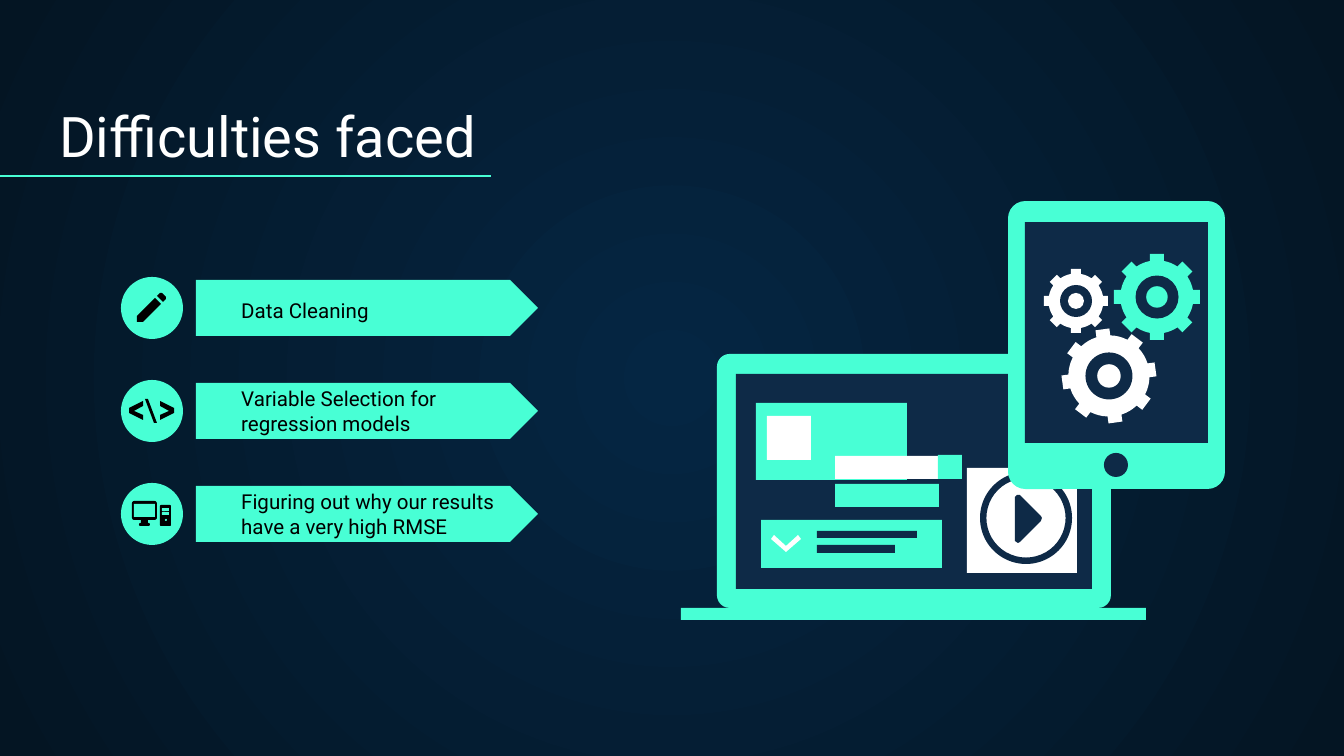
from math import cos, hypot, pi, sin
from pptx import Presentation
from pptx import util as u
from pptx.dml import color
from pptx.enum import shapes, text
from pptx.oxml import parse_xml
from pptx.oxml import ns

SCALE = 914400 / 134.4
MINT, NAVY, WHITE, BLACK = "48FFD5", "0E2A47", "FFFFFF", "000000"
RECT, OVAL = shapes.MSO_SHAPE.RECTANGLE, shapes.MSO_SHAPE.OVAL
ROUNDED = shapes.MSO_SHAPE.ROUNDED_RECTANGLE


def px(n):
    """Turn pixels into EMU."""
    return u.Emu(round(n * SCALE))


def rgb(value):
    """Return the colour for a hex string."""
    return color.RGBColor.from_string(value)


def paint(sp, fill):
    """Give a shape a plain fill without line or shadow."""
    sp.shadow.inherit = False
    sp.fill.solid()
    sp.fill.fore_color.rgb = rgb(fill)
    sp.line.fill.background()
    return sp


def add_box(s, x, y, w, h, fill, kind=RECT, adj=None):
    """Add a preset shape."""
    sp = paint(s.shapes.add_shape(kind, px(x), px(y), px(w), px(h)), fill)
    if adj is not None:
        sp.adjustments[0] = adj
    return sp


def add_disc(s, cx, cy, radius, fill):
    """Add a circle around a centre."""
    return add_box(s, cx - radius, cy - radius, 2 * radius, 2 * radius, fill, OVAL)


def add_outline(s, fill, *contours):
    """Add one filled freeform made of closed contours."""
    builder = None
    for contour in contours:
        points = [(px(x), px(y)) for x, y in contour]
        if builder is None:
            builder = s.shapes.build_freeform(*points[0])
        else:
            builder.move_to(*points[0])
        builder.add_line_segments(points[1:], close=True)
    return paint(builder.convert_to_shape(), fill)


def add_text(s, x, y, w, h, value, size=11, fill=BLACK, font="Roboto"):
    """Add a bottom-anchored text box."""
    tf = s.shapes.add_textbox(px(x), px(y), px(w), px(h)).text_frame
    tf.word_wrap = True
    tf.vertical_anchor = text.MSO_ANCHOR.BOTTOM
    tf.margin_left = tf.margin_right = tf.margin_top = tf.margin_bottom = u.Inches(0.1)
    r = tf.paragraphs[0].add_run()
    r.text = value
    r.font.size, r.font.name = u.Pt(size), font
    r.font.color.rgb = rgb(fill)


def add_rule(s, x1, y1, x2, y2):
    """Add a thin mint line."""
    line = s.shapes.add_connector(
        shapes.MSO_CONNECTOR.STRAIGHT, px(x1), px(y1), px(x2), px(y2))
    line.line.color.rgb = rgb(MINT)
    line.line.width = u.Pt(0.75)
    line._element.spPr.append(parse_xml(f"<a:effectLst {ns.nsdecls('a')}/>"))


def add_gear(s, cx, cy, outer, root, half_tooth, fill, tilt=0):
    """Add an eight-toothed gear with a ring and a hub."""
    arc = hypot(root, half_tooth)
    points = []
    for tooth in range(8):
        a = tilt * pi / 180 + tooth * pi / 4
        for side, reach in ((-1, root), (-1, outer), (1, outer), (1, root)):
            t = side * half_tooth
            points.append((cx + reach * sin(a) + t * cos(a),
                           cy - reach * cos(a) + t * sin(a)))
        for step in (3, 4, 5):
            b = a + step * pi / 32
            points.append((cx + arc * sin(b), cy - arc * cos(b)))
    add_outline(s, fill, points)
    add_disc(s, cx, cy, outer / 2, NAVY)
    add_disc(s, cx, cy, outer / 4, fill)


def set_background(s):
    """Fill the background with a radial gradient."""
    fill = s.background.fill
    fill.gradient()
    for stop, value in zip(fill.gradient_stops, ("052643", "041523")):
        stop.color.rgb = rgb(value)
    grad = s.element.xpath(".//a:gradFill")[0]
    grad.remove(grad.find(ns.qn("a:lin")))
    grad.append(parse_xml(
        f'<a:path {ns.nsdecls("a")} path="circle">'
        '<a:fillToRect l="50000" t="50000" r="50000" b="50000"/></a:path>'))


def add_pencil(s):
    """Add the pencil icon."""
    add_outline(
        s, BLACK,
        [(155, 298), (137, 316), (137, 322), (143, 322), (161, 304)],
        [(160, 293), (157, 296), (163, 302), (166, 299), (166, 297), (162, 293)])


def add_code(s):
    """Add the code icon."""
    bracket = [(143, 420), (129, 413), (129, 408), (143, 401),
               (143, 406), (134, 411), (143, 415)]
    add_outline(s, BLACK, bracket)
    add_outline(s, BLACK, [(145, 399), (148, 399), (157, 423), (154, 423)])
    add_outline(s, BLACK, [(303 - x, y) for x, y in bracket])


def add_computer(s):
    """Add the desktop computer icon."""
    add_box(s, 132, 501, 25, 19, BLACK, ROUNDED, 0.12)
    add_box(s, 134, 504, 21, 13, MINT)
    add_box(s, 141, 520, 7, 4, BLACK)
    add_box(s, 139, 523, 11, 3, BLACK, ROUNDED, 0.5)
    add_box(s, 160, 505, 11, 21, BLACK, ROUNDED, 0.1)
    for y in (508, 512):
        add_box(s, 162, y, 7, 3, MINT, ROUNDED, 0.2)
    add_disc(s, 166, 520, 1, MINT)


def add_laptop(s):
    """Add the laptop with its screen content."""
    add_box(s, 717, 354, 394, 254, MINT, ROUNDED, 0.05)
    add_box(s, 736, 374, 356, 215, NAVY)
    for box in ((681, 608, 465, 12, MINT), (756, 403, 151, 77, MINT),
                (767, 416, 44, 44, WHITE), (761, 520, 181, 48, MINT),
                (817, 531, 100, 7, NAVY), (817, 545, 78, 8, NAVY),
                (835, 484, 104, 23, MINT), (835, 456, 104, 23, WHITE),
                (938, 455, 24, 24, MINT), (967, 468, 110, 105, WHITE)):
        add_box(s, *box)
    add_outline(s, WHITE, [(774, 535), (786, 546), (798, 535),
                           (801, 539), (786, 552), (771, 539)])
    add_box(s, 980, 472, 92, 92, NAVY, shapes.MSO_SHAPE.DONUT, 0.07)
    add_outline(s, NAVY, [(1015, 497), (1017, 495), (1020, 495), (1041, 516),
                          (1042, 518), (1041, 521), (1020, 542), (1018, 543),
                          (1015, 541)])


def add_tablet(s):
    """Add the tablet with three gears."""
    add_box(s, 1008, 201, 217, 288, MINT, ROUNDED, 0.08)
    add_box(s, 1025, 222, 183, 221, NAVY)
    add_disc(s, 1116, 465, 12, NAVY)
    add_gear(s, 1157, 297, 43, 36, 7, MINT)
    add_gear(s, 1076, 301, 32, 27, 5, WHITE)
    add_gear(s, 1109, 376, 47, 40, 7, WHITE, tilt=-8)


def main():
    """Build the slide and save it."""
    prs = Presentation()
    prs.slide_width, prs.slide_height = px(1344), px(756)
    s = prs.slides.add_slide(prs.slide_layouts[6])
    set_background(s)
    add_text(s, 46, 93, 1198, 89, "Difficulties faced", size=30, fill=WHITE)
    add_rule(s, 0, 176, 491, 176)
    rows = (("Data Cleaning", 307, add_pencil),
            ("Variable Selection for regression models", 421, add_code),
            ("Figuring out why our results have a very high RMSE", 524, add_computer))
    for i, (label, label_top, add_icon) in enumerate(rows):
        middle = 308 + 103 * i
        add_box(s, 196, middle - 28, 342, 56, MINT, shapes.MSO_SHAPE.PENTAGON, 0.5)
        add_text(s, 228, label_top, 305, 28, label)
        add_disc(s, 152, middle, 31, MINT)
        add_icon(s)
    add_laptop(s)
    add_tablet(s)
    prs.save("out.pptx")


if __name__ == "__main__":
    main()
